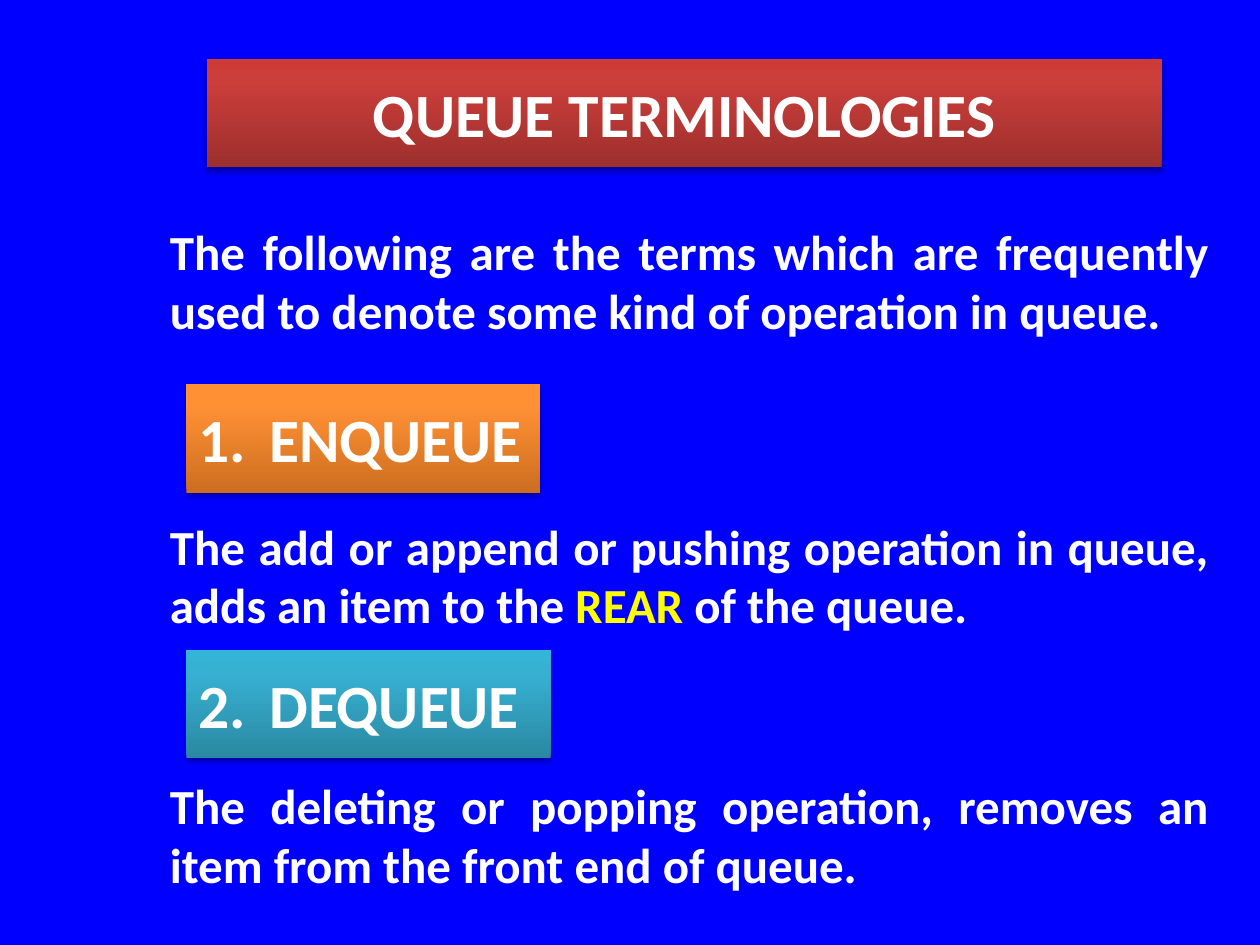
from lxml import etree
from pptx import Presentation
from pptx.dml.color import RGBColor
from pptx.enum.shapes import MSO_SHAPE
from pptx.enum.text import MSO_ANCHOR, PP_ALIGN
from pptx.oxml import parse_xml
from pptx.util import Inches, Pt

RECT = MSO_SHAPE.RECTANGLE
MIDDLE = MSO_ANCHOR.MIDDLE
LEFT, CENTER, JUSTIFY = PP_ALIGN.LEFT, PP_ALIGN.CENTER, PP_ALIGN.JUSTIFY
BLUE = RGBColor(0x00, 0x00, 0xFF)
WHITE = RGBColor(0xFF, 0xFF, 0xFF)
YELLOW = RGBColor(0xFF, 0xFF, 0x00)
RED = [RGBColor(0x9C, 0x2F, 0x2D), RGBColor(0xCB, 0x3E, 0x3A), RGBColor(0xCE, 0x3B, 0x37)]
ORANGE = [RGBColor(0xCC, 0x6E, 0x20), RGBColor(0xFF, 0x90, 0x34), RGBColor(0xFF, 0x91, 0x36)]
TEAL = [RGBColor(0x2A, 0x88, 0xA2), RGBColor(0x37, 0xB1, 0xD2), RGBColor(0x34, 0xB4, 0xD6)]
STOPS = (0, 80, 100)
FONT = "Calibri"
NS = "http://schemas.openxmlformats.org/drawingml/2006/main"
SHADOW = (
    f'<a:effectLst xmlns:a="{NS}"><a:outerShdw blurRad="{Pt(3.1)}" dist="{Pt(1.8)}" '
    'dir="5400000" rotWithShape="0"><a:srgbClr val="000000"><a:alpha val="35000"/>'
    "</a:srgbClr></a:outerShdw></a:effectLst>"
)


def add_run(para, text, size, color=WHITE):
    """Add one bold run to a paragraph."""
    run = para.add_run()
    run.text = text
    font = run.font
    font.name, font.size, font.bold = FONT, Pt(size), True
    font.color.rgb = color


def shade(shape, tones):
    """Give a shape an upward three-stop gradient and a soft shadow."""
    shape.line.fill.background()
    shape.shadow.inherit = False
    fill = shape.fill
    fill.gradient()
    fill.gradient_angle = 90
    props = shape.element.spPr
    stops = props.find(f".//{{{NS}}}gsLst")
    for stop in list(stops):
        stops.remove(stop)
    for pos, tone in zip(STOPS, tones):
        stop = etree.SubElement(stops, f"{{{NS}}}gs", pos=str(pos * 1000))
        etree.SubElement(stop, f"{{{NS}}}srgbClr", val=str(tone))
    props.replace(props.find(f"{{{NS}}}effectLst"), parse_xml(SHADOW))


def add_banner(slide, box, text, tones, align=LEFT):
    """Place a shaded heading bar in its box."""
    shape = slide.shapes.add_shape(RECT, *map(Inches, box))
    shade(shape, tones)
    frame = shape.text_frame
    frame.word_wrap = True
    frame.vertical_anchor = MIDDLE
    para = frame.paragraphs[0]
    para.alignment = align
    props = para._p.get_or_add_pPr()
    props.set("marL", str(Inches(0.56)))
    props.set("indent", str(Inches(-0.56)))
    add_run(para, text, 35.1)


def add_body(slide, box, parts):
    """Place justified paragraphs, each with its gap above and its runs."""
    frame = slide.shapes.add_textbox(*map(Inches, box)).text_frame
    frame.word_wrap = True
    for i, (gap, runs) in enumerate(parts):
        para = frame.add_paragraph() if i else frame.paragraphs[0]
        para.alignment = JUSTIFY
        para.space_before = Pt(gap)
        for text, color in runs:
            add_run(para, text, 28, color)


def build():
    """Build and save the slide."""
    deck = Presentation()
    deck.slide_width, deck.slide_height = Inches(10), Inches(7.5)
    slide = deck.slides.add_slide(deck.slide_layouts[6])
    back = slide.background.fill
    back.solid()
    back.fore_color.rgb = BLUE
    add_banner(slide, (1.64, 0.47, 7.58, 0.86), "QUEUE TERMINOLOGIES", RED, CENTER)
    add_body(slide, (1.25, 1.71, 8.44, 5.48), [
        (0, [("The following are the terms which are frequently used to denote "
              "some kind of operation in queue.", WHITE)]),
        (101, [("The add or append or pushing operation in queue, adds an item to the ", WHITE),
               ("REAR", YELLOW), (" of the queue.", WHITE)]),
        (81, [("The deleting or popping operation, removes an item from the front "
               "end of queue.", WHITE)]),
    ])
    add_banner(slide, (1.48, 3.05, 2.81, 0.86), "1.\tENQUEUE", ORANGE)
    add_banner(slide, (1.48, 5.16, 2.89, 0.86), "2.\tDEQUEUE", TEAL)
    deck.save("out.pptx")


build()
